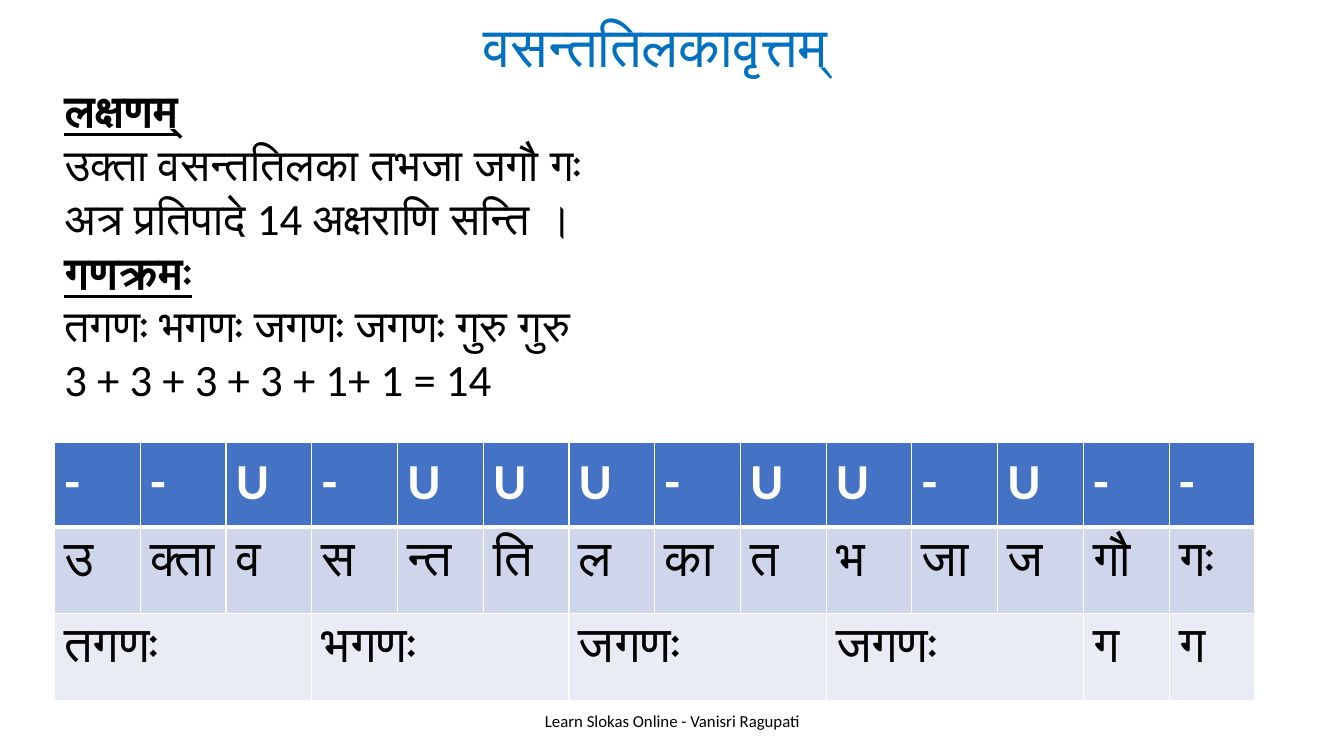
from lxml.etree import SubElement
from pptx import Presentation
from pptx.dml.color import RGBColor
from pptx.enum.text import MSO_ANCHOR, PP_ALIGN
from pptx.oxml.ns import qn
from pptx.util import Inches, Pt

BLACK, WHITE, TITLE_BLUE = "000000", "FFFFFF", "0070C0"
HEADER_BLUE, BAND_DARK, BAND_LIGHT = "4472C4", "CFD5EA", "E9EBF5"

DEFINITION = [
    ("लक्षणम्", True),
    ("उक्ता वसन्ततिलका तभजा जगौ गः", False),
    ("अत्र प्रतिपादे 14 अक्षराणि सन्ति ।", False),
    ("गणक्रमः", True),
    ("तगणः भगणः जगणः जगणः गुरु गुरु", False),
    ("3 + 3 + 3 + 3 + 1+ 1 = 14", False),
]
WEIGHTS = "- - U - U U U - U U - U - -".split()
SYLLABLES = "उ क्ता व स न्त ति ल का त भ जा ज गौ गः".split()
GANAS = [("तगणः", 3), ("भगणः", 3), ("जगणः", 3), ("जगणः", 3), ("ग", 1), ("ग", 1)]


def apply(target, values):
    """Set each attribute named in values on target."""
    for name, value in values.items():
        setattr(target, name, value)


def color(hex_value):
    """Turn a hex string into a colour."""
    return RGBColor.from_string(hex_value)


def write(para, text, size, hex_value, **style):
    """Add one formatted span of text to a paragraph."""
    span = para.add_run()
    span.text = text
    apply(span.font, {"name": "Calibri", "size": Pt(size), **style})
    span.font.color.rgb = color(hex_value)


def add_text(page, place, lines, size, hex_value, anchor, align=PP_ALIGN.LEFT):
    """Add a text box holding lines, each paired with a heading flag."""
    frame = page.shapes.add_textbox(*map(Inches, place)).text_frame
    apply(frame, {"word_wrap": True, "vertical_anchor": anchor})
    for index, (text, heading) in enumerate(lines):
        para = frame.add_paragraph() if index else frame.paragraphs[0]
        para.alignment = align
        write(para, text, size, hex_value, bold=heading, underline=heading)


def add_borders(cell, bottom_width):
    """Draw white lines around a cell."""
    properties = cell._tc.get_or_add_tcPr()
    widths = {"a:lnL": 1, "a:lnR": 1, "a:lnT": 1, "a:lnB": bottom_width}
    for position, (tag, width) in enumerate(widths.items()):
        line = SubElement(properties, qn(tag), w=str(Pt(width)))
        fill = SubElement(line, qn("a:solidFill"))
        SubElement(fill, qn("a:srgbClr"), val=WHITE)
        properties.insert(position, line)


def fill_cell(cell, text, hex_fill, hex_text, header):
    """Fill, outline and label one table cell."""
    cell.fill.solid()
    cell.fill.fore_color.rgb = color(hex_fill)
    add_borders(cell, 3 if header else 1)
    if text:
        para = cell.text_frame.paragraphs[0]
        para.line_spacing = 1.07
        write(para, text, 36, hex_text, bold=header)


def add_meter_table(page):
    """Add the table of weights, syllables and ganas."""
    columns = len(WEIGHTS)
    place = map(Inches, (0.54, 4.39, 11.91, 2.56))
    table = page.shapes.add_table(3, columns, *place).table
    for row, height in zip(table.rows, (0.84, 0.86, 0.86)):
        row.height = Inches(height)
    for column in table.columns:
        column.width = Inches(11.91 / columns)

    gana_row = [part for name, span in GANAS for part in [name] + [""] * (span - 1)]
    rows = [
        (WEIGHTS, HEADER_BLUE, WHITE),
        (SYLLABLES, BAND_DARK, BLACK),
        (gana_row, BAND_LIGHT, BLACK),
    ]
    for row, (texts, hex_fill, hex_text) in enumerate(rows):
        for column, text in enumerate(texts):
            fill_cell(table.cell(row, column), text, hex_fill, hex_text, row == 0)

    start = 0
    for _, span in GANAS:
        if span > 1:
            table.cell(2, start).merge(table.cell(2, start + span - 1))
        start += span


def main():
    """Build the slide and save it."""
    deck = Presentation()
    apply(deck, {"slide_width": Inches(13.33), "slide_height": Inches(7.5)})
    page = deck.slides.add_slide(deck.slide_layouts[6])
    add_text(page, (4.42, 6.95, 4.5, 0.4), [("Learn Slokas Online - Vanisri Ragupati", False)],
             12, BLACK, MSO_ANCHOR.MIDDLE, PP_ALIGN.CENTER)
    add_text(page, (1.5, -0.2, 10, 1.03), [("वसन्ततिलकावृत्तम्", False)],
             40, TITLE_BLUE, MSO_ANCHOR.BOTTOM, PP_ALIGN.CENTER)
    add_meter_table(page)
    add_text(page, (0.54, 0.76, 10.1, 3.33), DEFINITION, 32, BLACK, MSO_ANCHOR.MIDDLE)
    deck.save("out.pptx")


if __name__ == "__main__":
    main()
